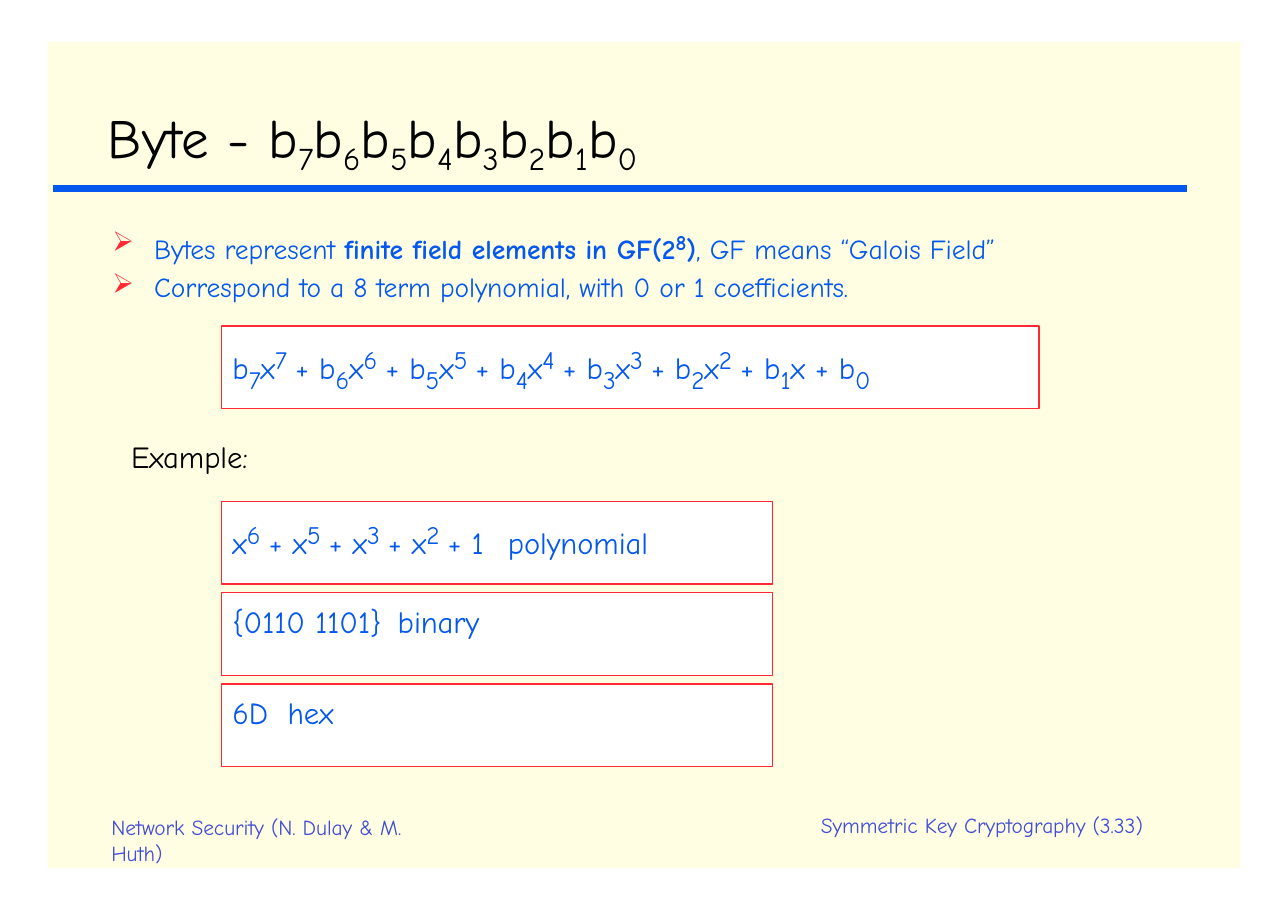
from dataclasses import dataclass

from lxml import etree
from pptx import Presentation
from pptx import util as u
from pptx.dml.color import RGBColor
from pptx.enum import shapes, text
from pptx.oxml import ns

CREAM = RGBColor(0xFF, 0xFE, 0xE2)
WHITE = RGBColor(0xFF, 0xFF, 0xFF)
BLACK = RGBColor(0x00, 0x00, 0x00)
BLUE = RGBColor(0x05, 0x58, 0xED)
RED = RGBColor(0xFF, 0x28, 0x33)
INDIGO = RGBColor(0x43, 0x4D, 0xD6)
FONT = "Comic Neue"
SCRIPT_SIGNS = {"_": -1, "^": 1}


@dataclass(frozen=True)
class Style:
    size: float
    color: RGBColor
    script_size: float = 0
    script_shift: int = 0
    spacing: int = -5
    indent: float = 0.01
    bullet: str = ""


@dataclass(frozen=True)
class Line:
    markup: str
    before: float = 0
    pitch: float = 0
    tab: float = 0


@dataclass(frozen=True)
class Block:
    left: float
    top: float
    width: float
    height: float
    style: Style
    lines: tuple[Line, ...]


TITLE = Style(36, BLACK, 36, 21, spacing=10)
BULLETS = Style(18, BLUE, 24, 24, indent=0.39, bullet="➢")
FORMULA = Style(20, BLUE, 28.5, 23, indent=0.1)
LABEL = Style(20, BLACK)
FOOTER = Style(14, INDIGO)

TEXTS = (
    Block(0.97, 0.94, 9.75, 0.71, TITLE,
          (Line("Byte - " + "".join(f"b_{bit}" for bit in range(7, -1, -1))),)),
    Block(7.44, 7.4, 3.29, 0.22, FOOTER,
          (Line("Symmetric Key Cryptography (3.33)", pitch=14.8),)),
    Block(1, 7.42, 3.01, 0.45, FOOTER,
          (Line("Network Security (N. Dulay & M.", pitch=14.8), Line("Huth)"))),
    Block(1.01, 2.02, 8.94, 0.65, BULLETS, (
        Line("Bytes represent *finite field elements in GF(2^8)*, GF means “Galois Field”"),
        Line("Correspond to a 8 term polynomial, with 0 or 1 coefficients.", before=2.4))),
    Block(1.18, 3.97, 1.18, 0.35, LABEL, (Line("Example:"),)),
)

POLYNOMIAL = " + ".join([f"b_{n}x^{n}" for n in range(7, 1, -1)] + ["b_1x", "b_0"])
EXAMPLES = (
    ("x^6 + x^5 + x^3 + x^2 + 1\tpolynomial", 2.96),
    ("{0110 1101}\tbinary", 3.1),
    ("6D\thex", 3.1),
)


def formula_box(top: float, width: float, markup: str, tab: float = 0) -> Block:
    return Block(2.01, top, width, 0.75, FORMULA, (Line(markup, before=6.2, tab=tab),))


BOXES = (formula_box(2.96, 7.42, POLYNOMIAL),) + tuple(
    formula_box(4.55 + 0.83 * row, 5, markup, tab)
    for row, (markup, tab) in enumerate(EXAMPLES))


def add_run(paragraph, words: str, style: Style, script: int, bold: bool) -> None:
    if not words:
        return
    run = paragraph.add_run()
    run.text = words
    properties = run.font._element
    properties.set("spc", str(style.spacing))
    if bold:
        run.font.bold = True
    if script:
        run.font.size = u.Pt(style.script_size)
        properties.set("baseline", str(script * style.script_shift * 1000))


def add_runs(paragraph, markup: str, style: Style) -> None:
    words, bold, position = "", False, 0
    while position < len(markup):
        sign = markup[position]
        if sign in SCRIPT_SIGNS:
            add_run(paragraph, words, style, 0, bold)
            length = 2 if markup[position + 2:position + 3] == " " else 1
            raised = markup[position + 1:position + 1 + length]
            add_run(paragraph, raised, style, SCRIPT_SIGNS[sign], bold)
            words = ""
            position += length
        elif sign == "*":
            add_run(paragraph, words, style, 0, bold)
            words, bold = "", not bold
        else:
            words += sign
        position += 1
    add_run(paragraph, words, style, 0, bold)


def format_paragraph(paragraph, line: Line, style: Style) -> None:
    properties = paragraph._p.get_or_add_pPr()
    properties.set("marL", str(u.Inches(style.indent)))
    properties.set("indent", str(u.Inches(-0.38) if style.bullet else 0))
    paragraph.alignment = text.PP_ALIGN.LEFT
    paragraph.space_before = u.Pt(line.before)
    if line.pitch:
        paragraph.line_spacing = u.Pt(line.pitch)
    if style.bullet:
        bullet_color = etree.SubElement(properties, ns.qn("a:buClr"))
        etree.SubElement(bullet_color, ns.qn("a:srgbClr"), val=str(RED))
        etree.SubElement(properties, ns.qn("a:buChar"), char=style.bullet)
    if line.tab:
        tabs = etree.SubElement(properties, ns.qn("a:tabLst"))
        etree.SubElement(tabs, ns.qn("a:tab"), pos=str(u.Inches(line.tab)), algn="l")
    paragraph.font.name = FONT
    paragraph.font.size = u.Pt(style.size)
    paragraph.font.color.rgb = style.color


def fill_text(frame, block: Block, inset_top: float = 0) -> None:
    frame.word_wrap = True
    frame.vertical_anchor = text.MSO_ANCHOR.TOP
    frame.margin_left = frame.margin_right = frame.margin_bottom = 0
    frame.margin_top = u.Inches(inset_top)
    for index, line in enumerate(block.lines):
        paragraph = frame.add_paragraph() if index else frame.paragraphs[0]
        format_paragraph(paragraph, line, block.style)
        add_runs(paragraph, line.markup, block.style)


def add_rectangle(slide, left: float, top: float, width: float, height: float,
                  color: RGBColor):
    rectangle = slide.shapes.add_shape(
        shapes.MSO_SHAPE.RECTANGLE, *map(u.Inches, (left, top, width, height)))
    rectangle.shadow.inherit = False
    rectangle.fill.solid()
    rectangle.fill.fore_color.rgb = color
    rectangle.line.fill.background()
    return rectangle


def add_title_rule(slide) -> None:
    rule = slide.shapes.add_connector(
        shapes.MSO_CONNECTOR.STRAIGHT, *map(u.Inches, (0.48, 1.71, 10.77, 1.71)))
    rule.line.color.rgb = BLUE
    rule.line.width = u.Pt(4.08)
    etree.SubElement(rule._element.spPr, ns.qn("a:effectLst"))


def main() -> None:
    deck = Presentation()
    deck.slide_width, deck.slide_height = u.Inches(11.69), u.Inches(8.26)
    slide = deck.slides.add_slide(deck.slide_layouts[6])
    add_rectangle(slide, 0.43, 0.38, 10.83, 7.5, CREAM)
    add_title_rule(slide)
    for block in TEXTS:
        textbox = slide.shapes.add_textbox(
            *map(u.Inches, (block.left, block.top, block.width, block.height)))
        fill_text(textbox.text_frame, block)
    for block in BOXES:
        box = add_rectangle(slide, block.left, block.top, block.width, block.height, WHITE)
        box.line.color.rgb = RED
        box.line.width = u.Pt(0.96)
        fill_text(box.text_frame, block, inset_top=0.09)
    deck.save("out.pptx")


if __name__ == "__main__":
    main()
